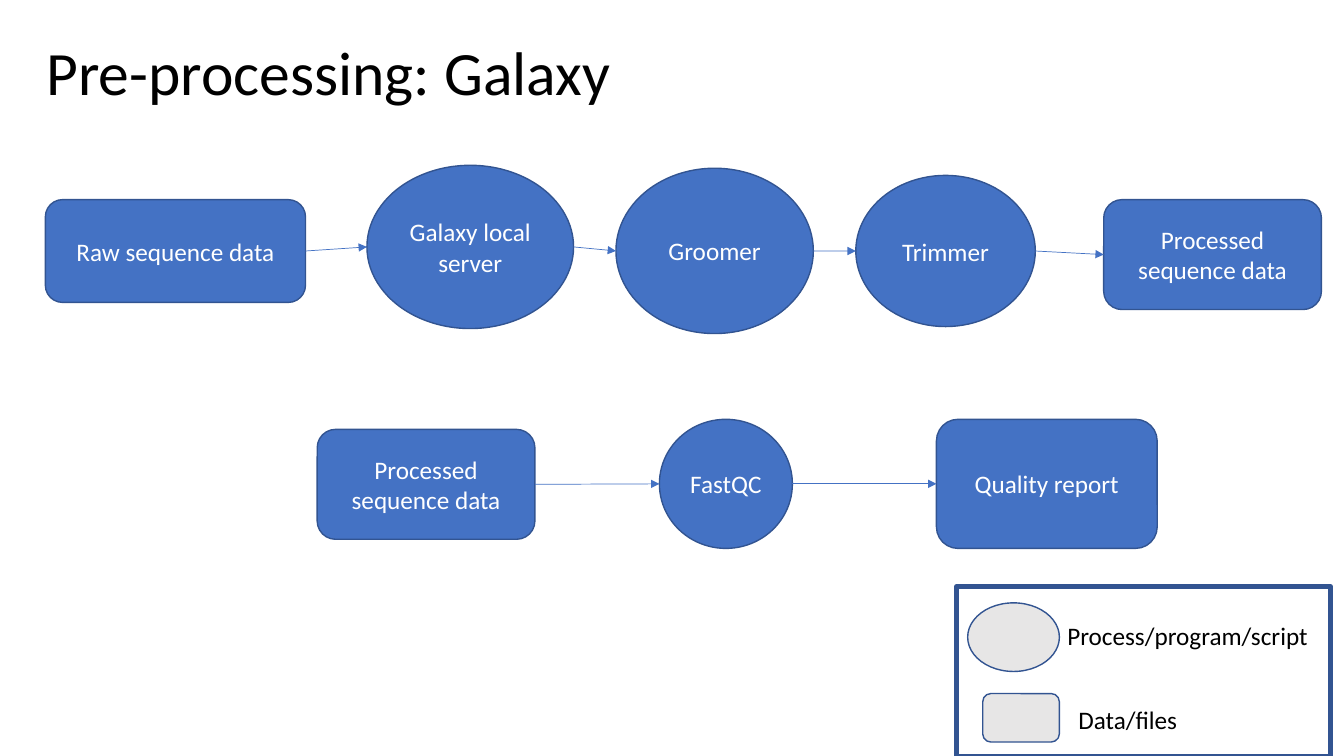
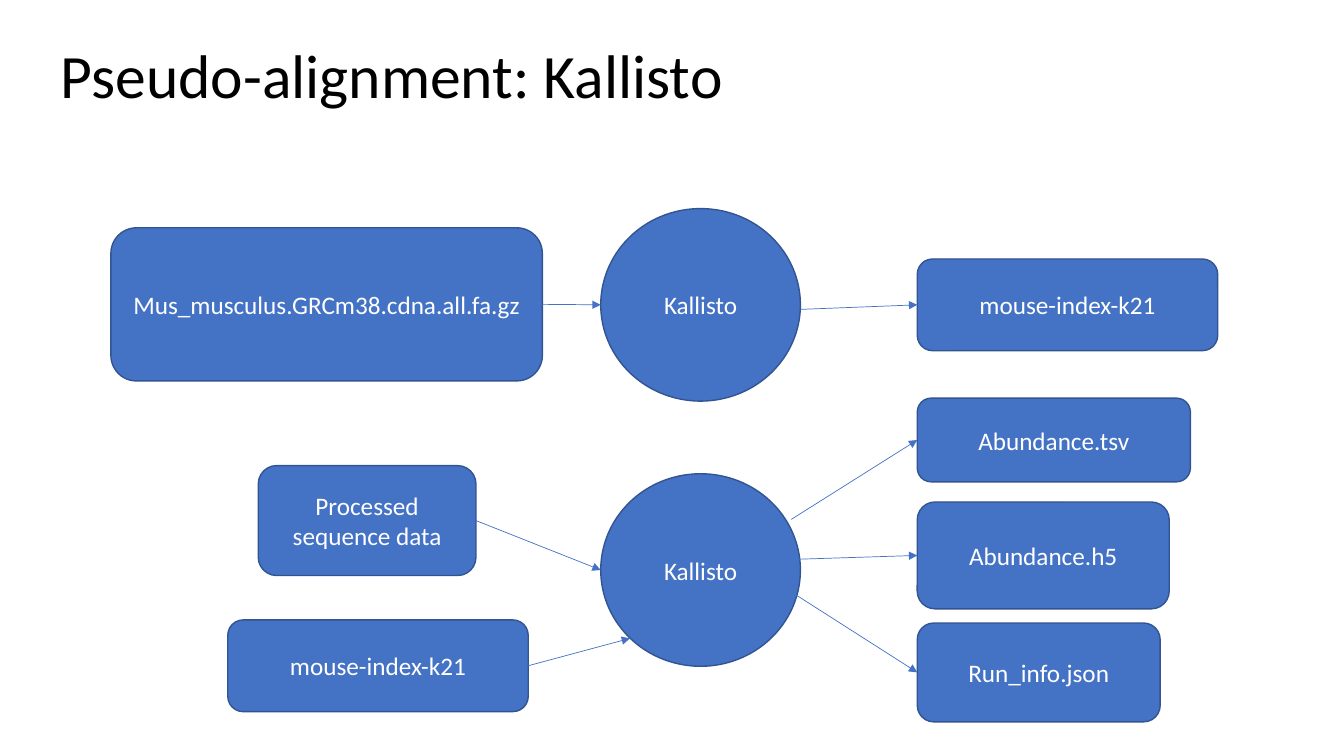
from lxml import etree
from pptx import Presentation
from pptx.dml.color import RGBColor
from pptx.enum.shapes import MSO_CONNECTOR, MSO_SHAPE
from pptx.enum.text import MSO_ANCHOR, MSO_AUTO_SIZE, PP_ALIGN
from pptx.oxml.ns import qn
from pptx.util import Pt

FONT = "Calibri"
BLUE, OUTLINE, GREY = "4472C4", "325491", "E7E6E6"
WHITE, BLACK = "FFFFFF", "000000"
DATA, PROCESS = MSO_SHAPE.ROUNDED_RECTANGLE, MSO_SHAPE.OVAL

PROCESSED = "Processed sequence data"
INDEX = "mouse-index-k21"
PROCESSED_SIZE = (155.5, 78.5)
INDEX_SIZE = (214.6, 65.5)
KALLISTO_SIZE = (142.6, 137.5)

SLIDES = [
    {
        "title": "Pre-processing: Galaxy",
        "title_at": (26, 2),
        "nodes": {
            "raw": (DATA, "Raw sequence data", (32.4, 142.6), (185.8, 73.4)),
            "server": (PROCESS, "Galaxy local server", (262.1, 118.1), (147.6, 116.6)),
            "groomer": (PROCESS, "Groomer", (440, 120.2), (141, 118.1)),
            "trimmer": (PROCESS, "Trimmer", (611.3, 125.3), (128.2, 108)),
            "processed": (DATA, PROCESSED, (788.4, 142.6), PROCESSED_SIZE),
            "input": (DATA, PROCESSED, (226.6, 306.7), PROCESSED_SIZE),
            "fastqc": (PROCESS, "FastQC", (471, 299.5), (95, 92.2)),
            "report": (DATA, "Quality report", (668.9, 299.5), (157.7, 92.2)),
        },
        "arrows": [
            ("raw", "server"),
            ("server", "groomer"),
            ("groomer", "trimmer"),
            ("trimmer", "processed"),
            ("input", "fastqc"),
            ("fastqc", "report"),
        ],
        "legend": True,
    },
    {
        "title": "Pseudo-alignment: Kallisto",
        "title_at": (36, 4),
        "nodes": {
            "transcripts": (DATA, "Mus_musculus.GRCm38.cdna.all.fa.gz",
                            (79.2, 162.7), (308.2, 109.4)),
            "indexing": (PROCESS, "Kallisto", (429.1, 149), KALLISTO_SIZE),
            "index": (DATA, INDEX, (655.2, 185), INDEX_SIZE),
            "processed": (DATA, PROCESSED, (184.5, 332.6), PROCESSED_SIZE),
            "index_input": (DATA, INDEX, (162.7, 442.8), INDEX_SIZE),
            "counting": (PROCESS, "Kallisto", (429.1, 338.4), KALLISTO_SIZE),
            "tsv": (DATA, "Abundance.tsv", (655.2, 284.4), (195.1, 59.8)),
            "h5": (DATA, "Abundance.h5", (655.2, 358.6), (180, 76.3)),
            "json": (DATA, "Run_info.json", (655.2, 445), (173.5, 70.6)),
        },
        "arrows": [
            ("transcripts", "indexing"),
            ((571.7, 221), "index"),
            ("processed", "counting"),
            ("index_input", (450, 456)),
            ((565.2, 371), "tsv"),
            ((565.2, 399.6), "h5"),
            ((561.6, 420.5), "json"),
        ],
        "legend": False,
    },
]

LEGEND_FRAME = ((683.3, 419), (267.1, 121))
LEGEND = [
    (PROCESS, (691.2, 430.6), (65.5, 49),
     "Process/program/script", (755.3, 439.2), (187.9, 28.8)),
    (DATA, (702, 495.4), (54.7, 34.6),
     "Data/files", (763.2, 499.7), (85.7, 28.8)),
]


def color(value):
    return RGBColor.from_string(value)


def points(*values):
    return [Pt(value) for value in values]


def write(frame, text, size, text_color, align):
    para = frame.paragraphs[0]
    para.alignment = align
    span = para.add_run()
    span.text = text
    span.font.name = FONT
    span.font.size = Pt(size)
    span.font.color.rgb = color(text_color)
    return para


def add_title(page, text, place):
    box = page.shapes.title
    box.left, box.top, box.width, box.height = points(*place, 828, 104.4)
    frame = box.text_frame
    frame.auto_size = MSO_AUTO_SIZE.NONE
    frame.vertical_anchor = MSO_ANCHOR.MIDDLE
    write(frame, text, 44, BLACK, PP_ALIGN.LEFT).line_spacing = 0.9


def add_outlined(page, kind, place, size, fill=None, weight=1):
    shape = page.shapes.add_shape(kind, *points(*place, *size))
    shape.shadow.inherit = False
    if fill:
        shape.fill.solid()
        shape.fill.fore_color.rgb = color(fill)
    else:
        shape.fill.background()
    shape.line.color.rgb = color(OUTLINE)
    shape.line.width = Pt(weight)
    return shape


def add_node(page, kind, text, place, size):
    frame = add_outlined(page, kind, place, size, BLUE).text_frame
    frame.word_wrap = True
    frame.vertical_anchor = MSO_ANCHOR.MIDDLE
    write(frame, text, 18, WHITE, PP_ALIGN.CENTER)


def side_point(nodes, target, right):
    if isinstance(target, tuple):
        return target
    (left, top), (width, height) = nodes[target][2:]
    return left + width * right, top + height / 2


def add_arrow(page, start, end):
    arrow = page.shapes.add_connector(MSO_CONNECTOR.STRAIGHT, *points(*start, *end))
    arrow.line.color.rgb = color(BLUE)
    arrow.line.width = Pt(0.5)
    etree.SubElement(arrow.line._get_or_add_ln(), qn("a:tailEnd"), type="triangle")
    etree.SubElement(arrow._element.spPr, qn("a:effectLst"))


def add_legend(page):
    for kind, place, size, label, label_place, label_size in LEGEND:
        add_outlined(page, kind, place, size, GREY)
        box = page.shapes.add_textbox(*points(*label_place, *label_size))
        box.text_frame.word_wrap = False
        write(box.text_frame, label, 18, BLACK, PP_ALIGN.LEFT)
    add_outlined(page, MSO_SHAPE.RECTANGLE, *LEGEND_FRAME, weight=3.25)


def main():
    deck = Presentation()
    deck.slide_width, deck.slide_height = points(960, 540)
    for content in SLIDES:
        page = deck.slides.add_slide(deck.slide_layouts[5])
        add_title(page, content["title"], content["title_at"])
        nodes = content["nodes"]
        for node in nodes.values():
            add_node(page, *node)
        for source, target in content["arrows"]:
            add_arrow(page, side_point(nodes, source, 1), side_point(nodes, target, 0))
        if content["legend"]:
            add_legend(page)
    deck.save("out.pptx")


if __name__ == "__main__":
    main()
